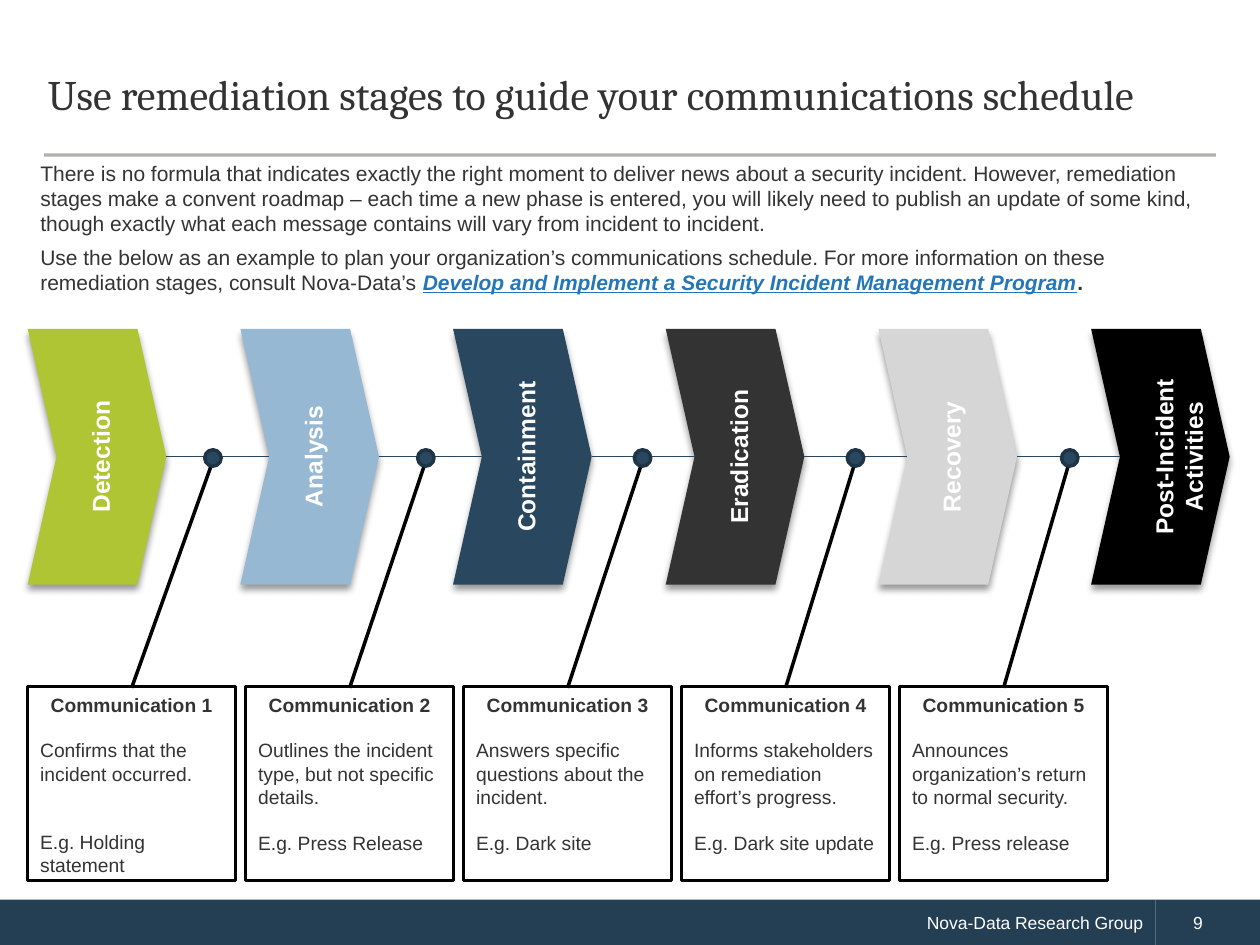
import pptx
import pptx.util
import pptx.oxml
import pptx.oxml.ns
import pptx.dml.color
import pptx.enum.shapes
import pptx.enum.text

Inches, Pt = pptx.util.Inches, pptx.util.Pt
Shape = pptx.enum.shapes.MSO_SHAPE
Align = pptx.enum.text.PP_ALIGN
Anchor = pptx.enum.text.MSO_ANCHOR
NS = pptx.oxml.ns.nsdecls("a")

COLORS = {
    "text": "333333", "link": "2576B7", "white": "FFFFFF", "black": "000000",
    "footer": "243F54", "rule": "45433E", "navy": "29475F", "dot_edge": "1E3546",
    "joint": "27465E", "lime": "B0C534", "sky": "96B8D2", "silver": "D6D6D6",
}
SLIDE_W, SLIDE_H = 10, 7.5
LEFT = 0.22
FOOTER_TOP, FOOTER_SPLIT = 7.14, 9.17
STAGE_TOP, STAGE_W, STAGE_H, STAGE_PITCH = 2.61, 1.1, 2.03, 1.688
NOTCH = 0.208
MIDLINE = STAGE_TOP + STAGE_H / 2
DOT = 0.13
NOTE_TOP, NOTE_W, NOTE_H, NOTE_PITCH = 5.45, 1.65, 1.54, 1.73
BLANK_LINE = 13

STAGES = [
    ("Detection", "lime"), ("Analysis", "sky"), ("Containment", "navy"),
    ("Eradication", "text"), ("Recovery", "silver"),
    ("Post-Incident Activities", "black"),
]
NOTES = [
    (1.69, "Confirms that the incident occurred.", "E.g. Holding statement", 2),
    (3.38, "Outlines the incident type, but not specific details.", "E.g. Press Release", 1),
    (5.1, "Answers specific questions about the incident.", "E.g. Dark site", 1),
    (6.79, "Informs stakeholders on remediation effort’s progress.", "E.g. Dark site update", 1),
    (8.49, "Announces organization’s return to normal security.", "E.g. Press release", 1),
]
INTRO = (
    "There is no formula that indicates exactly the right moment to deliver news about a "
    "security incident. However, remediation stages make a convent roadmap – each time a new "
    "phase is entered, you will likely need to publish an update of some kind, though exactly "
    "what each message contains will vary from incident to incident."
)
ADVICE = (
    "Use the below as an example to plan your organization’s communications schedule. For more "
    "information on these remediation stages, consult Nova-Data’s "
)
PROGRAM = "Develop and Implement a Security Incident Management Program"


def rgb(color):
    return pptx.dml.color.RGBColor.from_string(COLORS[color])


def place(element, left, top, width, height):
    element.left, element.top = Inches(left), Inches(top)
    element.width, element.height = Inches(width), Inches(height)


def style(run, size, color="text", bold=False, font="Arial"):
    run.font.name, run.font.size, run.font.bold = font, Pt(size), bold
    run.font.color.rgb = rgb(color)


def add_figure(slide, kind, box, fill, edge=None):
    figure = slide.shapes.add_shape(kind, *map(Inches, box))
    figure.shadow.inherit = False
    figure.fill.solid()
    figure.fill.fore_color.rgb = rgb(fill)
    if edge:
        figure.line.color.rgb = rgb(edge)
        figure.line.width = Pt(2)
    else:
        figure.line.fill.background()
    return figure


def add_line(slide, start, end, y, color, width):
    line = slide.shapes.add_connector(
        pptx.enum.shapes.MSO_CONNECTOR.STRAIGHT, Inches(start), Inches(y), Inches(end), Inches(y))
    line.line.color.rgb = rgb(color)
    line.line.width = Pt(width)
    line._element.spPr.append(pptx.oxml.parse_xml(f"<a:effectLst {NS}/>"))
    return line


def add_footer(slide, left, right, label, align, indent):
    bar = add_figure(slide, Shape.RECTANGLE,
                     (left, FOOTER_TOP, right - left, SLIDE_H - FOOTER_TOP), "footer")
    bar.text_frame.text = label
    bar.text_frame.margin_left = Inches(indent)
    paragraph = bar.text_frame.paragraphs[0]
    paragraph.alignment = align
    style(paragraph.runs[0], 10, "white")


def add_title_rule(slide):
    rule = add_line(slide, 0.35, 9.65, 1.23, "rule", 1.75)
    tint = rule._element.spPr.find(".//" + pptx.oxml.ns.qn("a:srgbClr"))
    tint.append(pptx.oxml.parse_xml(f'<a:alpha {NS} val="42000"/>'))


def fill_title(title):
    place(title, 0.28, 0.29, 9.43, 0.94)
    title.text_frame.text = "Use remediation stages to guide your communications schedule"
    title.text_frame.vertical_anchor = Anchor.MIDDLE
    paragraph = title.text_frame.paragraphs[0]
    paragraph.alignment = Align.LEFT
    paragraph.line_spacing = Pt(26)
    style(paragraph.runs[0], 24, font="Cambria")


def fill_body(body):
    place(body, LEFT, 1.22, 9.54, 1.34)
    body.text_frame.text = INTRO
    advice = body.text_frame.add_paragraph()
    for part in (ADVICE, PROGRAM, "."):
        advice.add_run().text = part
    for paragraph in body.text_frame.paragraphs:
        paragraph.space_before = Pt(5)
        properties = paragraph._p.get_or_add_pPr()
        properties.set("marL", "0")
        properties.set("indent", "0")
        properties.append(pptx.oxml.parse_xml(f"<a:buNone {NS}/>"))
        for run in paragraph.runs:
            style(run, 12)
    program, period = advice.runs[1:]
    style(program, 12, "link", bold=True)
    program.font.italic = program.font.underline = True
    style(period, 12, bold=True)


def add_stage(slide, left, label, fill):
    stage = add_figure(slide, Shape.CHEVRON, (left, STAGE_TOP, STAGE_W, STAGE_H), fill)
    stage.adjustments[0] = NOTCH
    effects = stage._element.spPr.find(pptx.oxml.ns.qn("a:effectLst"))
    effects.append(pptx.oxml.parse_xml(
        f'<a:outerShdw {NS} blurRad="{Pt(4)}" dist="{Pt(3)}" dir="5400000" rotWithShape="0">'
        f'<a:srgbClr val="{COLORS["black"]}"><a:alpha val="40000"/></a:srgbClr></a:outerShdw>'))
    frame = stage.text_frame
    frame.text = label
    frame.margin_left, frame.margin_right = Inches(0.23), Inches(0.1)
    frame.vertical_anchor = Anchor.TOP
    frame._txBody.bodyPr.set("vert", "vert270")
    frame.paragraphs[0].alignment = Align.CENTER
    style(frame.paragraphs[0].runs[0], 14, "white", bold=True)


def add_note(slide, number, dot_x, message, example, gap):
    left = LEFT + (number - 1) * NOTE_PITCH
    note = add_figure(slide, Shape.LINE_CALLOUT_1, (left, NOTE_TOP, NOTE_W, NOTE_H),
                      "white", "black")
    for index, share in enumerate((-1.164, (dot_x - left) / NOTE_W, 0.006, 0.5)):
        note.adjustments[index] = share
    frame = note.text_frame
    frame.vertical_anchor = Anchor.TOP
    frame.text = "\n".join((f"Communication {number}", message, example))
    for paragraph, blanks in zip(frame.paragraphs, (0, 1, gap)):
        heading = blanks == 0
        paragraph.alignment = Align.CENTER if heading else Align.LEFT
        paragraph.space_before = Pt(blanks * BLANK_LINE)
        style(paragraph.runs[0], 11, bold=heading)


def main():
    deck = pptx.Presentation()
    deck.slide_width, deck.slide_height = Inches(SLIDE_W), Inches(SLIDE_H)
    slide = deck.slides.add_slide(deck.slide_layouts[1])
    add_footer(slide, 0, FOOTER_SPLIT, "Nova-Data Research Group", Align.RIGHT, 0.39)
    add_footer(slide, FOOTER_SPLIT, SLIDE_W, "9", Align.LEFT, 0.3)
    add_title_rule(slide)
    fill_title(slide.shapes.title)
    fill_body(slide.placeholders[1])
    for number, note in enumerate(NOTES, 1):
        add_note(slide, number, *note)
    for column, (label, fill) in enumerate(STAGES):
        add_stage(slide, LEFT + column * STAGE_PITCH, label, fill)
    for column, (dot_x, *_) in enumerate(NOTES):
        tip = LEFT + column * STAGE_PITCH + STAGE_W
        next_notch = tip + STAGE_PITCH - STAGE_W * (1 - NOTCH)
        add_line(slide, tip, next_notch, MIDLINE, "joint", 0.75)
        add_figure(slide, Shape.OVAL, (dot_x - DOT / 2, 3.57, DOT, DOT), "navy", "dot_edge")
    deck.save("out.pptx")


if __name__ == "__main__":
    main()
